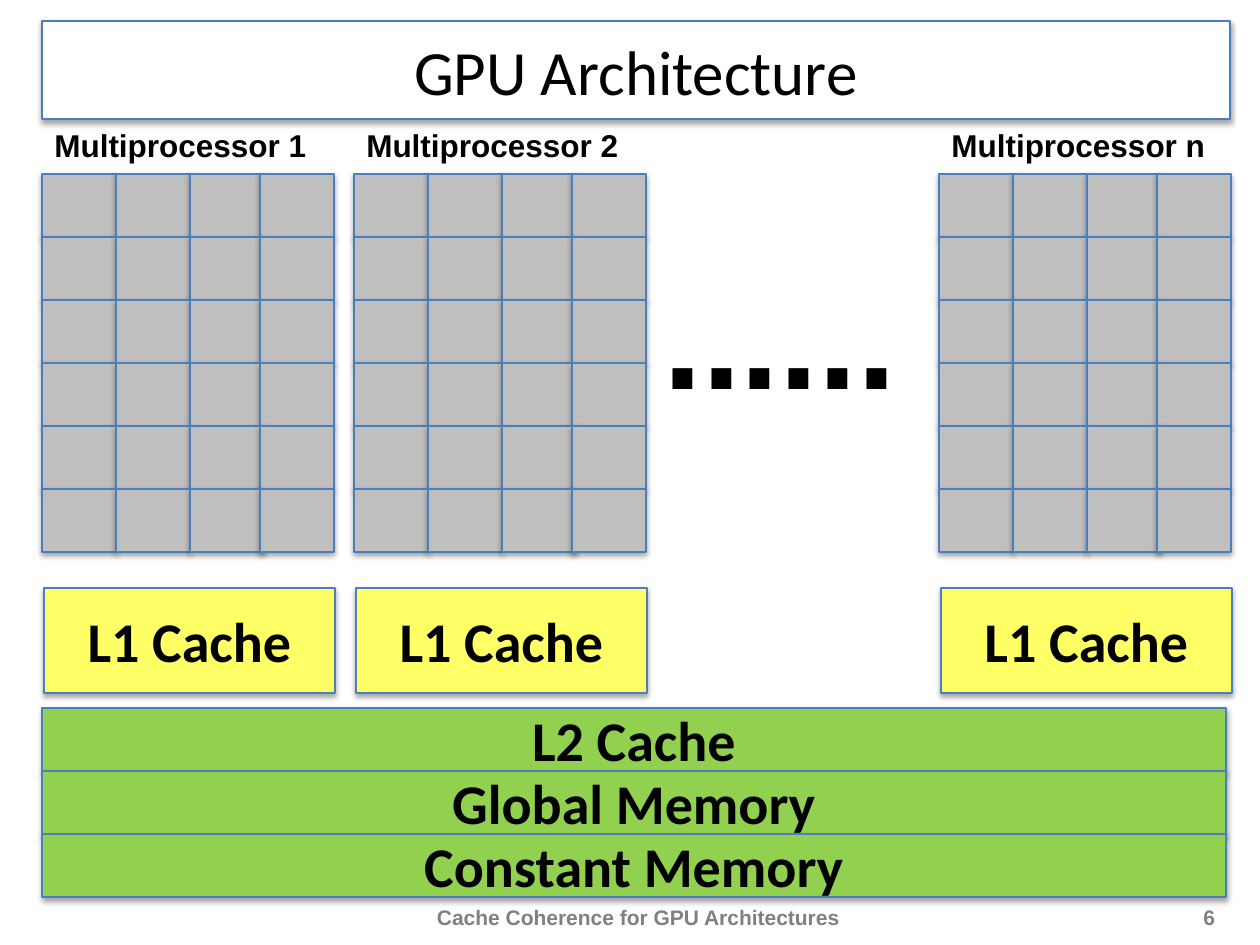
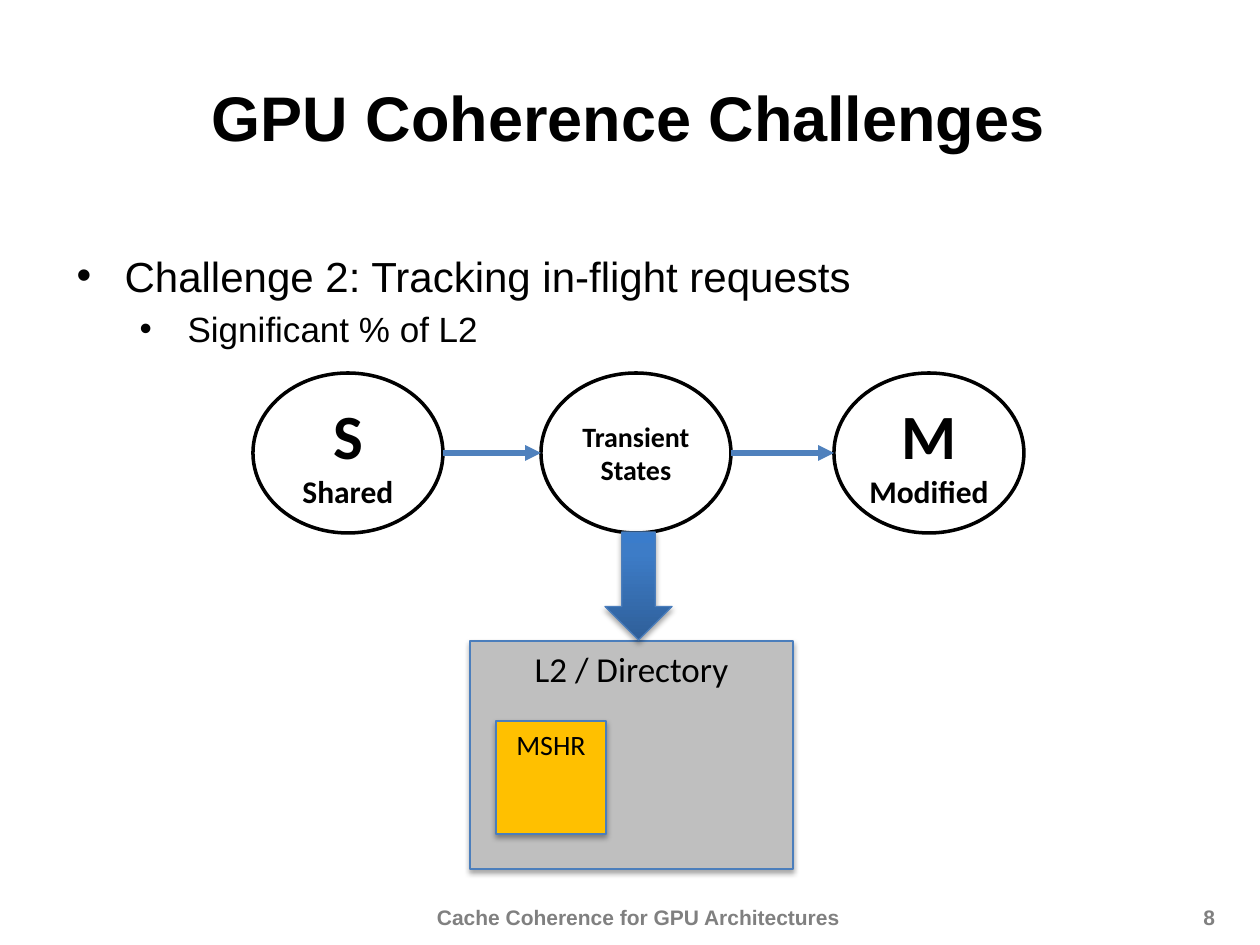
from pptx import Presentation
from pptx import util as u
from pptx.dml.color import RGBColor
from pptx.enum import shapes, text
from pptx.oxml import parse_xml
from pptx.oxml.ns import nsdecls, qn

# Shared look
EMU_PER_PX = 914400 / 126
BLACK, WHITE, GRAY, FOOTER_GRAY = "000000", "FFFFFF", "BFBFBF", "808080"
YELLOW, GREEN, AMBER = "FFFF66", "92D050", "FFC000"
OUTLINE, ARROW_BLUE = "4B7EBC", "4F81BD"
ARROW_STOPS = ((0, "2F5F99"), (80, "3D7CC7"), (100, "3A7CCB"))
FOOTER = "Cache Coherence for GPU Architectures"
LEFT, CENTER = text.PP_ALIGN.LEFT, text.PP_ALIGN.CENTER
TOP, MIDDLE = text.MSO_ANCHOR.TOP, text.MSO_ANCHOR.MIDDLE
RECTANGLE = shapes.MSO_SHAPE.RECTANGLE

# Multiprocessor columns: left, name, label width
MULTIPROCESSORS = (
    (42, "Multiprocessor 1", 288),
    (354, "Multiprocessor 2", 368),
    (939, "Multiprocessor n", 283),
)
CORE_ROWS, CORE_COLUMNS = 6, 4
CORE_WIDTH, CORE_HEIGHT, GRID_WIDTH = 74, 63, 292


def px(length):
    return u.Emu(round(length * EMU_PER_PX))


def box(*lengths):
    return [px(length) for length in lengths]


def color(hex_string):
    return RGBColor.from_string(hex_string)


def write(paragraph, content, size=18, font="Calibri", bold=False,
          ink=BLACK, align=CENTER):
    paragraph.alignment = align
    run = paragraph.add_run()
    run.text = content
    run.font.size = u.Pt(size)
    run.font.name = font
    run.font.bold = bold
    run.font.color.rgb = color(ink)


def style(shape, fill, line=OUTLINE, width=0.75, shadow=True):
    shape.fill.solid()
    shape.fill.fore_color.rgb = color(fill)
    shape.line.color.rgb = color(line)
    shape.line.width = u.Pt(width)
    shape.shadow.inherit = False
    if shadow:
        effects = shape.element.spPr.find(qn("a:effectLst"))
        effects.append(parse_xml(
            f'<a:outerShdw {nsdecls("a")} blurRad="40000" dist="23000" '
            'dir="5400000" rotWithShape="0"><a:srgbClr val="000000">'
            '<a:alpha val="35000"/></a:srgbClr></a:outerShdw>'))


def add_box(slide, bounds, fill, label="", anchor=MIDDLE, **text_format):
    shape = slide.shapes.add_shape(RECTANGLE, *box(*bounds))
    style(shape, fill)
    shape.text_frame.vertical_anchor = anchor
    if label:
        write(shape.text_frame.paragraphs[0], label, **text_format)
    return shape


def add_label(slide, bounds, label, wrap=True, **text_format):
    frame = slide.shapes.add_textbox(*box(*bounds)).text_frame
    frame.word_wrap = wrap
    frame.auto_size = text.MSO_AUTO_SIZE.SHAPE_TO_FIT_TEXT
    write(frame.paragraphs[0], label, font="Arial", bold=True, **text_format)


def place(placeholder, bounds, anchor):
    placeholder.left, placeholder.top, placeholder.width, placeholder.height = box(*bounds)
    frame = placeholder.text_frame
    frame.auto_size = text.MSO_AUTO_SIZE.NONE
    frame.vertical_anchor = anchor
    return frame.paragraphs[0]


def add_slide(presentation, layout_index, number):
    slide = presentation.slides.add_slide(presentation.slide_layouts[layout_index])
    add_label(slide, (392, 898, 493, 38), FOOTER, size=12, ink=FOOTER_GRAY)
    add_label(slide, (1191, 898, 54, 38), number, size=12, ink=FOOTER_GRAY, align=LEFT)
    return slide


def add_core_grid(slide, left, top):
    last_column = GRID_WIDTH - CORE_WIDTH
    for row in range(CORE_ROWS):
        for column in range(CORE_COLUMNS):
            offset = min(column * CORE_WIDTH, last_column)
            add_box(slide, (left + offset, top + row * CORE_HEIGHT,
                            CORE_WIDTH, CORE_HEIGHT), GRAY)


def add_bullet(paragraph, content, level, indent, size):
    paragraph.level = level
    properties = paragraph._p.get_or_add_pPr()
    properties.set("marL", str(px(indent)))
    properties.set("indent", str(px(-48)))
    properties.append(parse_xml(f'<a:buFont {nsdecls("a")} typeface="Arial"/>'))
    properties.append(parse_xml(f'<a:buChar {nsdecls("a")} char="•"/>'))
    write(paragraph, content, size=size, font="Arial", align=LEFT)


def add_state(slide, left, lines, anchor):
    """Draw one coherence state; lines are (text, size) pairs."""
    ellipse = slide.shapes.add_shape(shapes.MSO_SHAPE.OVAL, *box(left, 373, 190, 160))
    style(ellipse, WHITE, line=BLACK, width=2, shadow=False)
    frame = ellipse.text_frame
    frame.vertical_anchor = anchor
    frame.margin_left = frame.margin_right = frame.margin_top = frame.margin_bottom = 0
    paragraph = frame.paragraphs[0]
    for index, (content, size) in enumerate(lines):
        if index:
            paragraph.add_line_break()
        write(paragraph, content, size=size, bold=True)
    return ellipse


def add_transition(slide, source, target):
    y = source.top + source.height // 2
    connector = slide.shapes.add_connector(
        shapes.MSO_CONNECTOR.STRAIGHT, source.left + source.width, y, target.left, y)
    connector.line.color.rgb = color(ARROW_BLUE)
    connector.line.width = u.Pt(3)
    connector.line._get_or_add_ln().append(
        parse_xml(f'<a:tailEnd {nsdecls("a")} type="triangle"/>'))
    connector._element.spPr.append(parse_xml(f'<a:effectLst {nsdecls("a")}/>'))


def add_gradient_arrow(slide, bounds):
    arrow = slide.shapes.add_shape(shapes.MSO_SHAPE.DOWN_ARROW, *box(*bounds))
    style(arrow, ARROW_BLUE)
    stops = "".join(f'<a:gs pos="{position * 1000}"><a:srgbClr val="{stop}"/></a:gs>'
                    for position, stop in ARROW_STOPS)
    gradient = parse_xml(f'<a:gradFill {nsdecls("a")} rotWithShape="1"><a:gsLst>{stops}'
                         '</a:gsLst><a:lin ang="16200000" scaled="0"/></a:gradFill>')
    properties = arrow.element.spPr
    properties.replace(properties.find(qn("a:solidFill")), gradient)


def build_architecture(presentation):
    slide = add_slide(presentation, 5, "6")

    # Framed title
    title = slide.shapes.title
    write(place(title, (42, 21, 1188, 98), MIDDLE), "GPU Architecture", size=36)
    style(title, WHITE)

    # Multiprocessors with their L1 caches
    for left, name, label_width in MULTIPROCESSORS:
        add_core_grid(slide, left, 174)
        add_label(slide, (left, 120, label_width, 50), name, align=LEFT)
        add_box(slide, (left + 2, 588, 291, 105), YELLOW, "L1 Cache", size=32, bold=True)
    add_label(slide, (651, 243, 261, 183), "......", wrap=False, size=80, align=LEFT)

    # Shared memory levels
    for row, name in enumerate(("L2 Cache", "Global Memory", "Constant Memory")):
        add_box(slide, (42, 708 + row * 63, 1184, 63), GREEN, name, size=32, bold=True)


def build_challenges(presentation):
    slide = add_slide(presentation, 1, "8")

    # Title and list
    heading = place(slide.shapes.title, (63, 72, 1131, 74), TOP)
    heading.space_before = u.Pt(4)
    write(heading, "GPU Coherence Challenges", size=36, font="Arial", bold=True)
    body = slide.placeholders[1]
    first = place(body, (64, 244, 1131, 129), TOP)
    add_bullet(first, "Challenge 2: Tracking in-flight requests", 0, 48, 24)
    add_bullet(body.text_frame.add_paragraph(), "Significant % of L2", 1, 111, 20)

    # Directory with its miss registers
    add_box(slide, (470, 641, 323, 228), GRAY, "L2 / Directory", anchor=TOP, size=20)
    add_box(slide, (496, 721, 110, 113), AMBER, "MSHR", anchor=TOP, size=16)

    # States and transitions
    shared = add_state(slide, 253, (("S", 36), ("Shared", 18)), TOP)
    transient = add_state(slide, 541, (("Transient States", 16),), MIDDLE)
    modified = add_state(slide, 834, (("M", 36), ("Modified", 18)), TOP)
    add_transition(slide, shared, transient)
    add_transition(slide, transient, modified)
    add_gradient_arrow(slide, (605, 532, 67, 108))


def main():
    presentation = Presentation()
    presentation.slide_width, presentation.slide_height = box(1260, 945)
    build_architecture(presentation)
    build_challenges(presentation)
    presentation.save("out.pptx")


if __name__ == "__main__":
    main()
